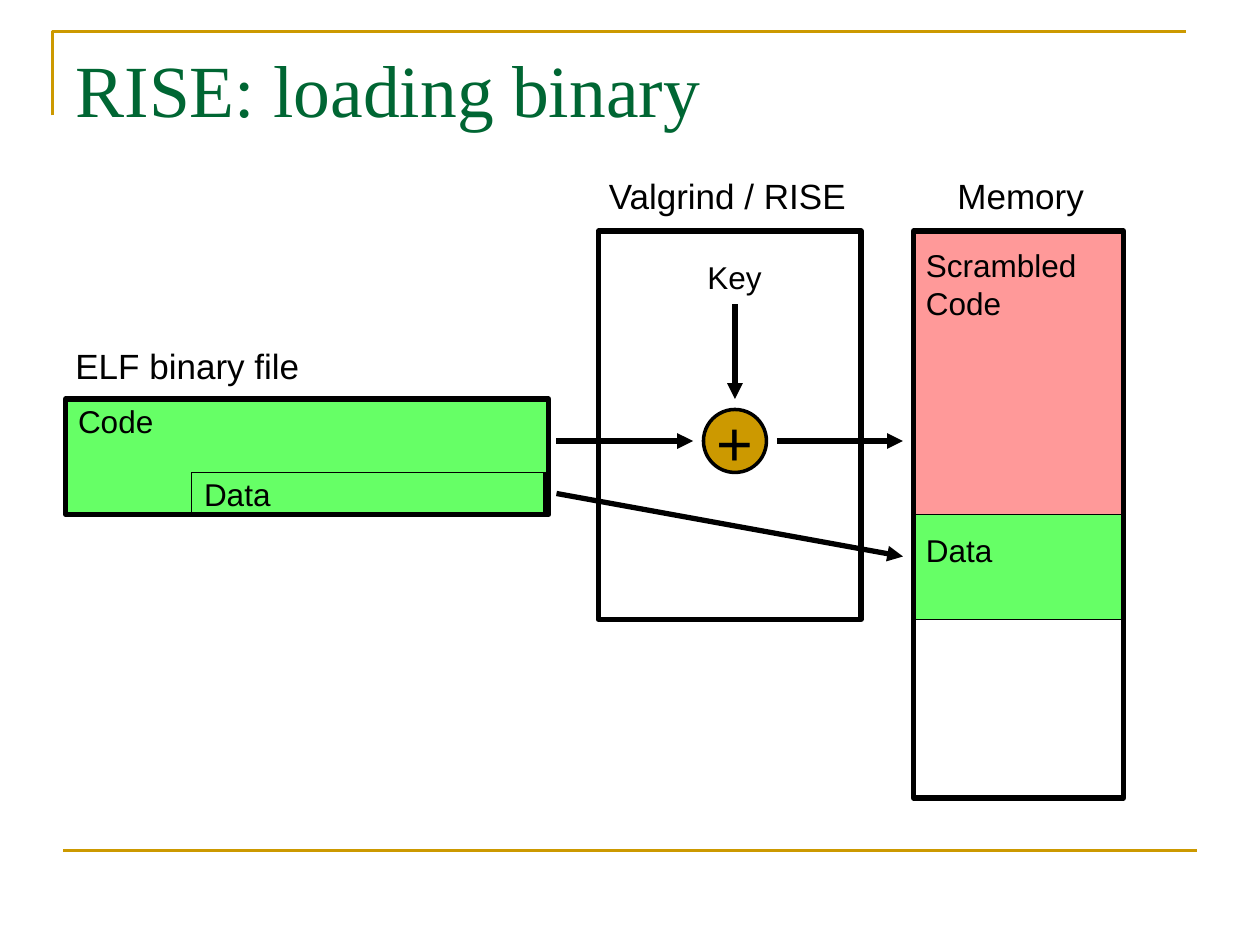
import pptx
import pptx.dml.color
import pptx.enum.shapes
import pptx.enum.text
import pptx.oxml.ns
import pptx.util
from dataclasses import dataclass
from lxml import etree

SHAPE = pptx.enum.shapes.MSO_SHAPE
STRAIGHT = pptx.enum.shapes.MSO_CONNECTOR.STRAIGHT
ALIGN = pptx.enum.text.PP_ALIGN
ANCHOR = pptx.enum.text.MSO_ANCHOR
rgb = pptx.dml.color.RGBColor.from_string


@dataclass(frozen=True)
class Theme:
    ink: str = "000000"
    title: str = "006633"
    gold: str = "CC9900"
    plain: str = "66FF66"
    scrambled: str = "FF9999"
    heading_font: str = "Times New Roman"
    body_font: str = "Arial"
    title_size: int = 42
    operator_size: int = 36
    caption_size: int = 20
    label_size: int = 18
    frame: float = 3
    ring: float = 2
    rule: float = 1.5
    hairline: float = 1


theme = Theme()

deck = pptx.Presentation()
deck.slide_width = pptx.util.Inches(10)
deck.slide_height = pptx.util.Inches(7.5)
cell = deck.slide_width / 120  # the slide is a grid of 120 columns by 90 rows
slide = deck.slides.add_slide(deck.slide_layouts[5])
shapes = slide.shapes


def grid(*counts):
    return [round(count * cell) for count in counts]


def write(shape, text, size=theme.label_size, font=theme.body_font,
          color=theme.ink, align=ALIGN.LEFT, anchor=ANCHOR.TOP, top=0.6, wrap=False):
    """Put text in a shape; top is the upper inset in rows."""
    frame = shape.text_frame
    frame.text = text
    frame.word_wrap = wrap
    frame.auto_size = pptx.enum.text.MSO_AUTO_SIZE.NONE
    frame.vertical_anchor = anchor
    frame.margin_left = frame.margin_right = pptx.util.Inches(0.1)
    frame.margin_top, frame.margin_bottom = grid(top, 0.6)
    for paragraph in frame.paragraphs:
        paragraph.alignment = align
        paragraph.font.size = pptx.util.Pt(size)
        paragraph.font.name = font
        paragraph.font.color.rgb = rgb(color)


title = shapes.title
title.left, title.top, title.width, title.height = grid(6, 3.6, 108, 15)
write(title, "RISE: loading binary", size=theme.title_size,
      font=theme.heading_font, color=theme.title, wrap=True)

# Gold corner above the title
outline = shapes.build_freeform(5, 11, scale=cell)
outline.add_line_segments([(5, 3), (113, 3)], close=False)
corner = outline.convert_to_shape()
corner.shadow.inherit = False
corner.fill.background()
corner.line.color.rgb = rgb(theme.gold)
corner.line.width = pptx.util.Pt(theme.rule)

# Blocks: kind, column, row, columns, rows, fill, line width, text format
blocks = [
    (SHAPE.RECTANGLE, 87, 49, 20, 10, theme.plain, theme.hairline,
     dict(text="Data", top=1.6, wrap=True)),
    (SHAPE.RECTANGLE, 87, 22, 20, 27, theme.scrambled, theme.hairline,
     dict(text="Scrambled\nCode", top=1.4, wrap=True)),
    (SHAPE.RECTANGLE, 57, 22, 25, 37, None, theme.frame, None),
    (SHAPE.RECTANGLE, 6.25, 38, 46, 11, theme.plain, theme.frame,
     dict(text="Code", top=0.3, wrap=True)),
    (SHAPE.RECTANGLE, 18.25, 45, 34, 4, theme.plain, theme.hairline,
     dict(text="Data", anchor=ANCHOR.MIDDLE, wrap=True)),
    (SHAPE.RECTANGLE, 87, 22, 20, 54, None, theme.frame, None),
    (SHAPE.OVAL, 67, 39, 6, 6, theme.gold, theme.ring,
     dict(text="+", size=theme.operator_size, align=ALIGN.CENTER,
          anchor=ANCHOR.MIDDLE)),
]
for kind, column, row, columns, rows, fill, weight, label in blocks:
    block = shapes.add_shape(kind, *grid(column, row, columns, rows))
    block.shadow.inherit = False
    if fill:
        block.fill.solid()
        block.fill.fore_color.rgb = rgb(fill)
    else:
        block.fill.background()
    block.line.color.rgb = rgb(theme.ink)
    block.line.width = pptx.util.Pt(weight)
    if label:
        write(block, **label)

# Captions: text, column, row, columns, rows, size
captions = [
    ("Valgrind / RISE", 56.8, 16, 25.2, 5.3, theme.caption_size),
    ("Memory", 90, 16, 14.4, 5.3, theme.caption_size),
    ("ELF binary file", 6, 32.2, 23.8, 5.3, theme.caption_size),
    ("Key", 66.2, 24, 7.6, 5, theme.label_size),
]
for caption, column, row, columns, rows, size in captions:
    caption_box = shapes.add_textbox(*grid(column, row, columns, rows))
    write(caption_box, caption, size=size)
key_box = caption_box

# Lines: start column and row, end column and row, colour, width, arrowhead, source
lines = [
    (6, 81, 114, 81, theme.gold, theme.rule, False, None),
    (53, 47, 86, 53, theme.ink, theme.frame, True, None),
    (74, 42, 86, 42, theme.ink, theme.frame, True, None),
    (53, 42, 66, 42, theme.ink, theme.frame, True, None),
    (70, 29, 70, 38, theme.ink, theme.frame, True, key_box),
    (18, 49, 52, 49, theme.ink, theme.frame, False, None),
    (52, 45, 52, 49, theme.ink, theme.frame, False, None),
]
for x1, y1, x2, y2, color, weight, arrow, source in lines:
    line = shapes.add_connector(STRAIGHT, *grid(x1, y1, x2, y2))
    line.line.color.rgb = rgb(color)
    line.line.width = pptx.util.Pt(weight)
    if source:
        line.begin_connect(source, 2)
    if arrow:
        etree.SubElement(line.line._get_or_add_ln(),
                         pptx.oxml.ns.qn("a:tailEnd"), type="triangle")
    etree.SubElement(line._element.spPr, pptx.oxml.ns.qn("a:effectLst"))

deck.save("out.pptx")
